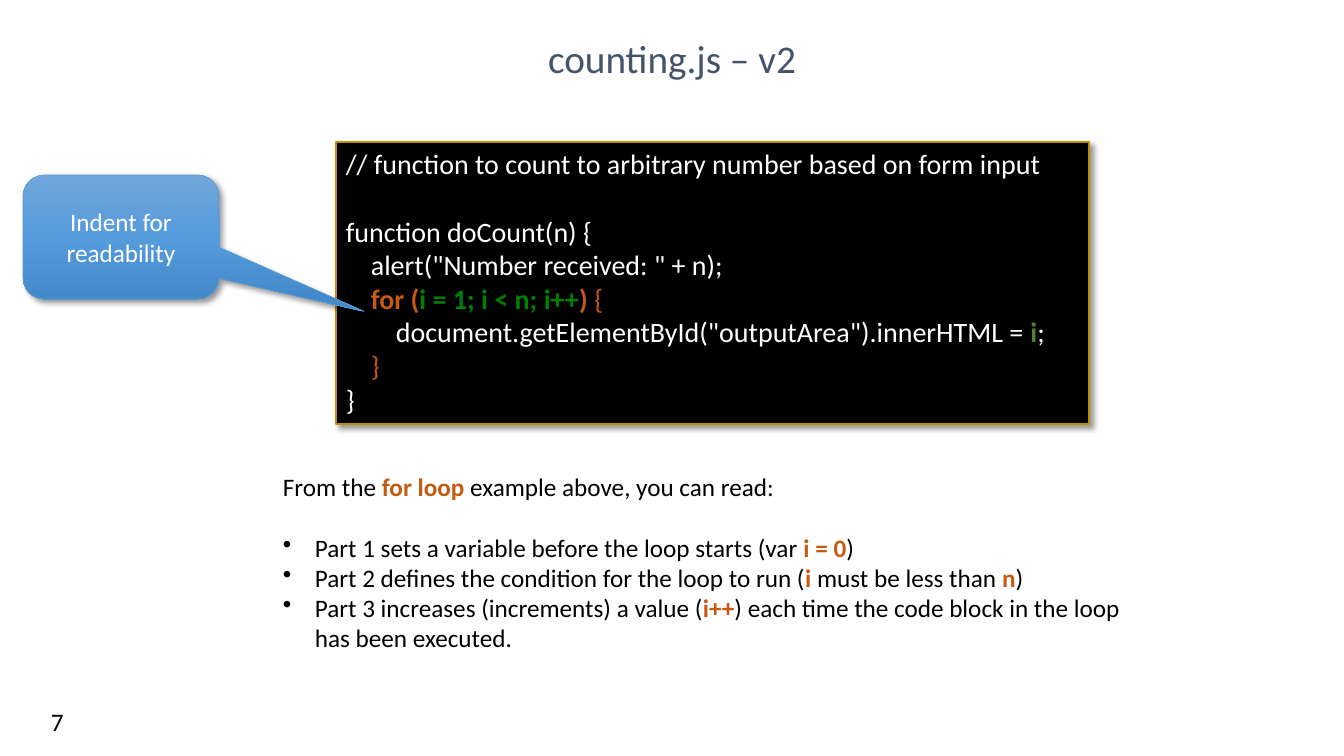
from lxml.etree import SubElement
from pptx import Presentation
from pptx.dml.color import RGBColor
from pptx.enum.shapes import MSO_SHAPE
from pptx.enum.text import MSO_ANCHOR, PP_ALIGN
from pptx.oxml.ns import qn
from pptx.util import Emu, Pt

EMU_PER_PIXEL = 914400 / 100.8
FONT = "Calibri"
BLACK = RGBColor(0x00, 0x00, 0x00)
WHITE = RGBColor(0xFF, 0xFF, 0xFF)
SLATE = RGBColor(0x44, 0x54, 0x6A)
ORANGE = RGBColor(0xC5, 0x5A, 0x11)
GREEN = RGBColor(0x00, 0x80, 0x00)
OLIVE = RGBColor(0x54, 0x82, 0x35)
GOLD = RGBColor(0xBD, 0x8E, 0x00)
BLUE = RGBColor(0x5B, 0x9B, 0xD5)
CALLOUT_STOPS = [
    (0, RGBColor(0x71, 0xA6, 0xDB)),
    (50, RGBColor(0x55, 0x9B, 0xDB)),
    (100, RGBColor(0x44, 0x8A, 0xCA)),
]
CODE_INDENT = 25
BULLET_INDENT = 32

# Each code line: indent level, then runs of (text, colour, bold).
CODE_LINES = [
    (0, [("// function to count to arbitrary number based on form input", WHITE, False)]),
    (0, [("function doCount(n) {", WHITE, False)]),
    (1, [('alert("Number received: " + n);', WHITE, False)]),
    (1, [("for (", ORANGE, True), ("i = 1; i < n; i++", GREEN, True),
         (") ", ORANGE, True), ("{", ORANGE, False)]),
    (2, [('document.getElementById("outputArea").innerHTML = ', WHITE, False),
         ("i", OLIVE, True), (";", WHITE, False)]),
    (1, [("}", ORANGE, False)]),
    (0, [("}", WHITE, False)]),
]
# In the explanation, every second piece is highlighted.
INTRO = ["From the ", "for loop ", "example above, you can read:"]
PARTS = [
    ["Part 1 sets a variable before the loop starts (var ", "i = 0", ")"],
    ["Part 2 defines the condition for the loop to run (", "i ",
     "must be less than ", "n", ")"],
    ["Part 3 increases (increments) a value (", "i++",
     ") each time the code block in the loop has been executed."],
]


def px(pixels):
    """Turn pixels into EMU."""
    return Emu(round(pixels * EMU_PER_PIXEL))


def box(*pixels):
    """Turn left, top, width and height in pixels into EMU."""
    return [px(value) for value in pixels]


def write_paragraph(paragraph, runs, size):
    """Fill a paragraph with (text, colour, bold) runs."""
    paragraph.font.name = FONT
    paragraph.font.size = Pt(size)
    for text, colour, bold in runs:
        run = paragraph.add_run()
        run.text = text
        run.font.color.rgb = colour
        run.font.bold = bold


def next_paragraph(frame):
    """Return the empty first paragraph, or a new one."""
    first = frame.paragraphs[0]
    return frame.add_paragraph() if first.runs else first


def add_bullet(paragraph):
    """Give a paragraph a bullet with a hanging indent."""
    properties = paragraph._p.get_or_add_pPr()
    properties.set("marL", str(px(BULLET_INDENT)))
    properties.set("indent", str(-px(BULLET_INDENT)))
    bullet = properties.makeelement(qn("a:buChar"), {"char": "•"})
    properties.insert_element_before(bullet, "a:tabLst", "a:defRPr", "a:extLst")


def add_shadow(shape):
    """Give a shape a soft shadow towards the lower right."""
    shape.shadow.inherit = False
    effects = shape._element.spPr.find(qn("a:effectLst"))
    shadow = SubElement(effects, qn("a:outerShdw"), blurRad=str(Pt(4)),
                        dist=str(Pt(3)), dir="2700000", algn="tl", rotWithShape="0")
    colour = SubElement(shadow, qn("a:srgbClr"), val=str(BLACK))
    SubElement(colour, qn("a:alpha"), val="40000")


def fill_gradient(shape, stops):
    """Fill a shape from top to bottom with (percent, colour) stops."""
    shape.fill.gradient()
    shape.fill.gradient_angle = 270
    stop_list = shape._element.spPr.find(qn("a:gradFill")).find(qn("a:gsLst"))
    for stop in list(stop_list):
        stop_list.remove(stop)
    for percent, colour in stops:
        stop = SubElement(stop_list, qn("a:gs"), pos=str(percent * 1000))
        SubElement(stop, qn("a:srgbClr"), val=str(colour))


def add_outlined_shape(slide, kind, bounds, line_colour, line_width):
    """Add a shadowed shape with an outline and return it."""
    shape = slide.shapes.add_shape(kind, *box(*bounds))
    shape.line.color.rgb = line_colour
    shape.line.width = Pt(line_width)
    add_shadow(shape)
    shape.text_frame.word_wrap = True
    return shape


def add_text_box(slide, bounds):
    """Add a wrapping text box and return its text frame."""
    frame = slide.shapes.add_textbox(*box(*bounds)).text_frame
    frame.word_wrap = True
    return frame


def set_title(slide, text):
    """Place and format the title placeholder."""
    title = slide.shapes.title
    title.left, title.top, title.width, title.height = box(155, 24, 1034, 73)
    title.text_frame.vertical_anchor = MSO_ANCHOR.MIDDLE
    paragraph = title.text_frame.paragraphs[0]
    paragraph.alignment = PP_ALIGN.CENTER
    paragraph.line_spacing = 0.9
    write_paragraph(paragraph, [(text, SLATE, False)], 28)


def add_code_panel(slide):
    """Add the black panel with the indented code."""
    panel = add_outlined_shape(slide, MSO_SHAPE.RECTANGLE, (336, 142, 753, 282), GOLD, 1)
    panel.fill.solid()
    panel.fill.fore_color.rgb = BLACK
    frame = panel.text_frame
    frame.vertical_anchor = MSO_ANCHOR.TOP
    for level, runs in CODE_LINES:
        paragraph = next_paragraph(frame)
        paragraph.alignment = PP_ALIGN.LEFT
        paragraph._p.get_or_add_pPr().set("marL", str(px(level * CODE_INDENT)))
        write_paragraph(paragraph, runs, 20)
    frame.paragraphs[0].space_after = Pt(24)


def add_explanation(slide):
    """Add the introduction and the bulleted parts of the loop."""
    frame = add_text_box(slide, (273, 466, 875, 194))
    for pieces in [INTRO, *PARTS]:
        runs = [(piece, ORANGE if index % 2 else BLACK, index % 2 == 1)
                for index, piece in enumerate(pieces)]
        paragraph = next_paragraph(frame)
        write_paragraph(paragraph, runs, 18)
        if pieces is not INTRO:
            add_bullet(paragraph)
    frame.paragraphs[0].space_after = Pt(22)


def add_callout(slide, text):
    """Add the blue callout that points at the loop."""
    callout = add_outlined_shape(
        slide, MSO_SHAPE.ROUNDED_RECTANGULAR_CALLOUT, (23, 175, 196, 124), BLUE, 0.5)
    for index, value in enumerate((1.24, 0.6, 0.17)):
        callout.adjustments[index] = value
    fill_gradient(callout, CALLOUT_STOPS)
    callout.text_frame.vertical_anchor = MSO_ANCHOR.MIDDLE
    paragraph = callout.text_frame.paragraphs[0]
    paragraph.alignment = PP_ALIGN.CENTER
    write_paragraph(paragraph, [(text, WHITE, False)], 18)


def add_page_number(slide, number):
    """Add the page number in the lower left corner."""
    frame = add_text_box(slide, (41, 701, 49, 40))
    write_paragraph(frame.paragraphs[0], [(number, BLACK, False)], 18)


def main():
    """Build the slide and save it."""
    presentation = Presentation()
    presentation.slide_width, presentation.slide_height = px(1344), px(756)
    slide = presentation.slides.add_slide(presentation.slide_layouts[5])
    set_title(slide, "counting.js – v2")
    add_page_number(slide, "7")
    add_code_panel(slide)
    add_explanation(slide)
    add_callout(slide, "Indent for readability")
    presentation.save("out.pptx")


main()
